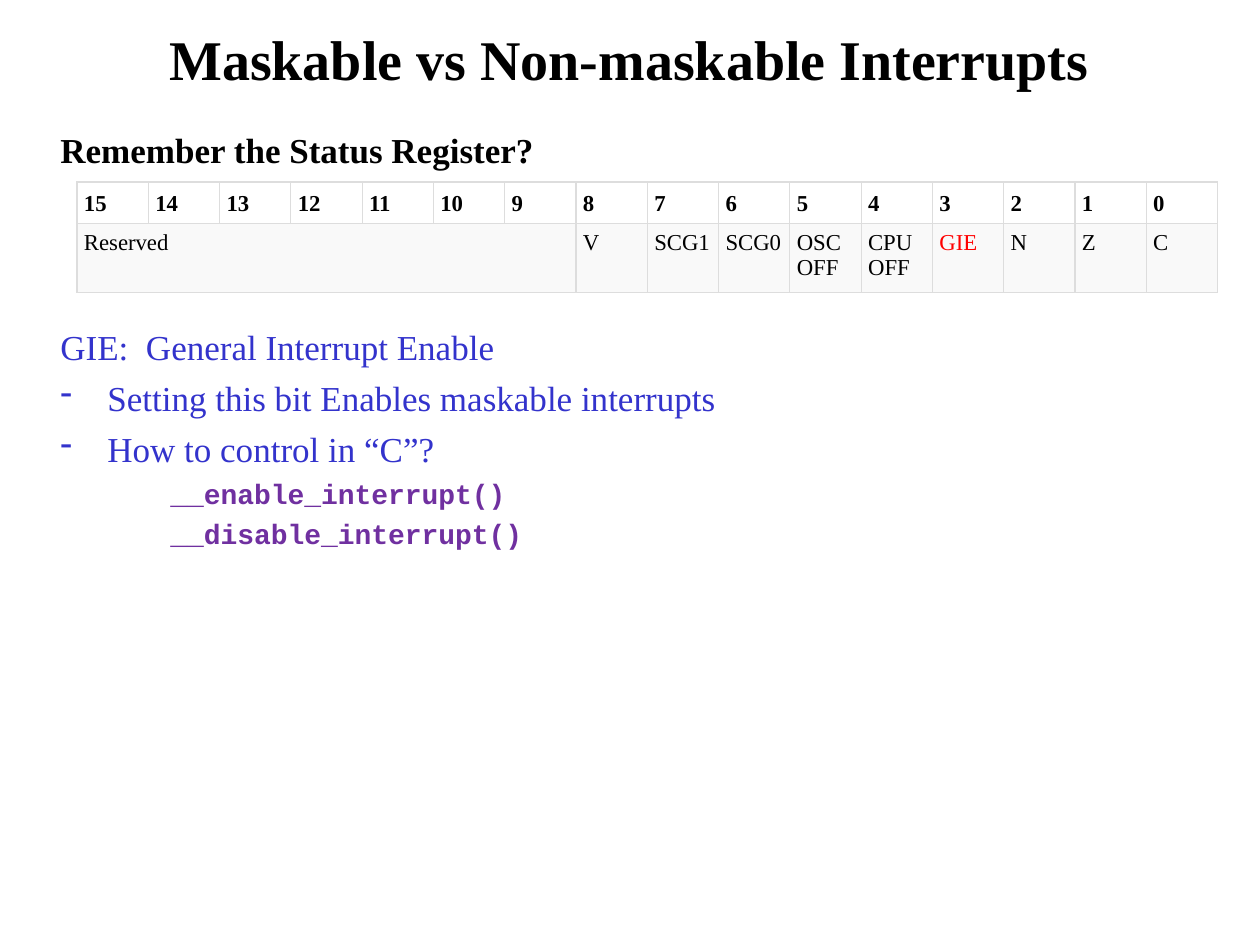
from lxml.etree import SubElement
from pptx import Presentation
from pptx.dml.color import RGBColor
from pptx.enum.text import MSO_ANCHOR as Anchor, PP_ALIGN as Align
from pptx.oxml.ns import qn
from pptx.util import Emu, Pt

PX_PER_INCH = 126
BIT_COUNT = 16
RESERVED_BITS = 7
FLAGS = ["V", "SCG1", "SCG0", "OSC\nOFF", "CPU\nOFF", "GIE", "N", "Z", "C"]


def px(length):
    return Emu(round(length * 914400 / PX_PER_INCH))


def color(hex_string):
    return RGBColor.from_string(hex_string)


def write_text(paragraph, text, size=20, font="Times New Roman", fill="000000", bold=False,
               align=Align.LEFT, before=0, indent=0, level=0, bullet=None):
    """Fill a paragraph; a newline in the text becomes a line break."""
    paragraph.alignment = align
    paragraph.level = level
    paragraph.space_before = Pt(before)
    for number, line in enumerate(text.split("\n")):
        if number:
            paragraph.add_line_break()
        run = paragraph.add_run()
        run.text = line
        run.font.name = font
        run.font.size = Pt(size)
        run.font.bold = bold
        run.font.color.rgb = color(fill)
    properties = paragraph._p.get_or_add_pPr()
    if indent:
        properties.set("marL", str(px(indent)))
        properties.set("indent", str(-px(indent) if bullet else 0))
    if bullet:
        SubElement(properties, qn("a:buChar"), char=bullet)


class SlideBuilder:
    border_color = "DDDDDD"
    border_width = Pt(0.75)
    cell_margin = 7
    cell_size = 13

    def __init__(self, slide):
        self.slide = slide

    def text_box(self, left, top, width, height, paragraphs, margin_top):
        """Add a box from (text, format) pairs, one for each paragraph."""
        shape = self.slide.shapes.add_textbox(px(left), px(top), px(width), px(height))
        frame = shape.text_frame
        frame.word_wrap = True
        frame.vertical_anchor = Anchor.TOP
        frame.margin_top = px(margin_top)
        frame.margin_bottom = 0
        for number, (text, style) in enumerate(paragraphs):
            paragraph = frame.add_paragraph() if number else frame.paragraphs[0]
            write_text(paragraph, text, **style)

    def table(self, left, top, width, row_heights, columns):
        shape = self.slide.shapes.add_table(len(row_heights), columns, px(left), px(top),
                                            px(width), px(sum(row_heights)))
        table = shape.table
        for column in table.columns:
            column.width = px(width) // columns
        for row, height in zip(table.rows, row_heights):
            row.height = px(height)
        return table

    def style_cell(self, cell, fill, anchor):
        properties = cell._tc.get_or_add_tcPr()
        for side in ("L", "R", "T", "B"):
            line = SubElement(properties, qn(f"a:ln{side}"), w=str(self.border_width))
            solid = SubElement(line, qn("a:solidFill"))
            SubElement(solid, qn("a:srgbClr"), val=self.border_color)
        cell.fill.solid()
        cell.fill.fore_color.rgb = color(fill)
        cell.vertical_anchor = anchor
        cell.margin_left = cell.margin_right = px(self.cell_margin)
        cell.margin_top = cell.margin_bottom = px(self.cell_margin)

    def write_cell(self, cell, text, **style):
        write_text(cell.text_frame.paragraphs[0], text, size=self.cell_size, **style)


def add_status_register(builder):
    table = builder.table(77, 182, 1141, [41, 68], BIT_COUNT)
    for column in range(BIT_COUNT):
        builder.style_cell(table.cell(0, column), "FFFFFF", Anchor.BOTTOM)
        builder.style_cell(table.cell(1, column), "F9F9F9", Anchor.TOP)
        builder.write_cell(table.cell(0, column), str(BIT_COUNT - 1 - column), bold=True)
    reserved = table.cell(1, 0)
    reserved.merge(table.cell(1, RESERVED_BITS - 1))
    builder.write_cell(reserved, "Reserved")
    for column, flag in enumerate(FLAGS, start=RESERVED_BITS):
        builder.write_cell(table.cell(1, column), flag,
                           fill="FF0000" if flag == "GIE" else "000000")


def main():
    presentation = Presentation()
    presentation.slide_width = px(1260)
    presentation.slide_height = px(945)
    slide = presentation.slides.add_slide(presentation.slide_layouts[6])
    builder = SlideBuilder(slide)

    title_style = dict(size=32, bold=True, align=Align.CENTER)
    builder.text_box(94, 21, 1071, 63,
                     [("Maskable vs Non-maskable Interrupts", title_style)], margin_top=4)

    point = dict(fill="3333CC", before=5, indent=47, bullet="-")
    code = dict(size=16, font="Courier New", fill="7030A0", bold=True, before=4,
                indent=110, level=2)
    builder.text_box(48, 117, 1172, 793, [
        ("Remember the Status Register?", dict(bold=True)),
        ("GIE:  General Interrupt Enable", dict(fill="3333CC", before=89)),
        ("Setting this bit Enables maskable interrupts", point),
        ("How to control in “C”?", point),
        ("__enable_interrupt()", code),
        ("__disable_interrupt()", code),
    ], margin_top=11)

    add_status_register(builder)
    presentation.save("out.pptx")


if __name__ == "__main__":
    main()
